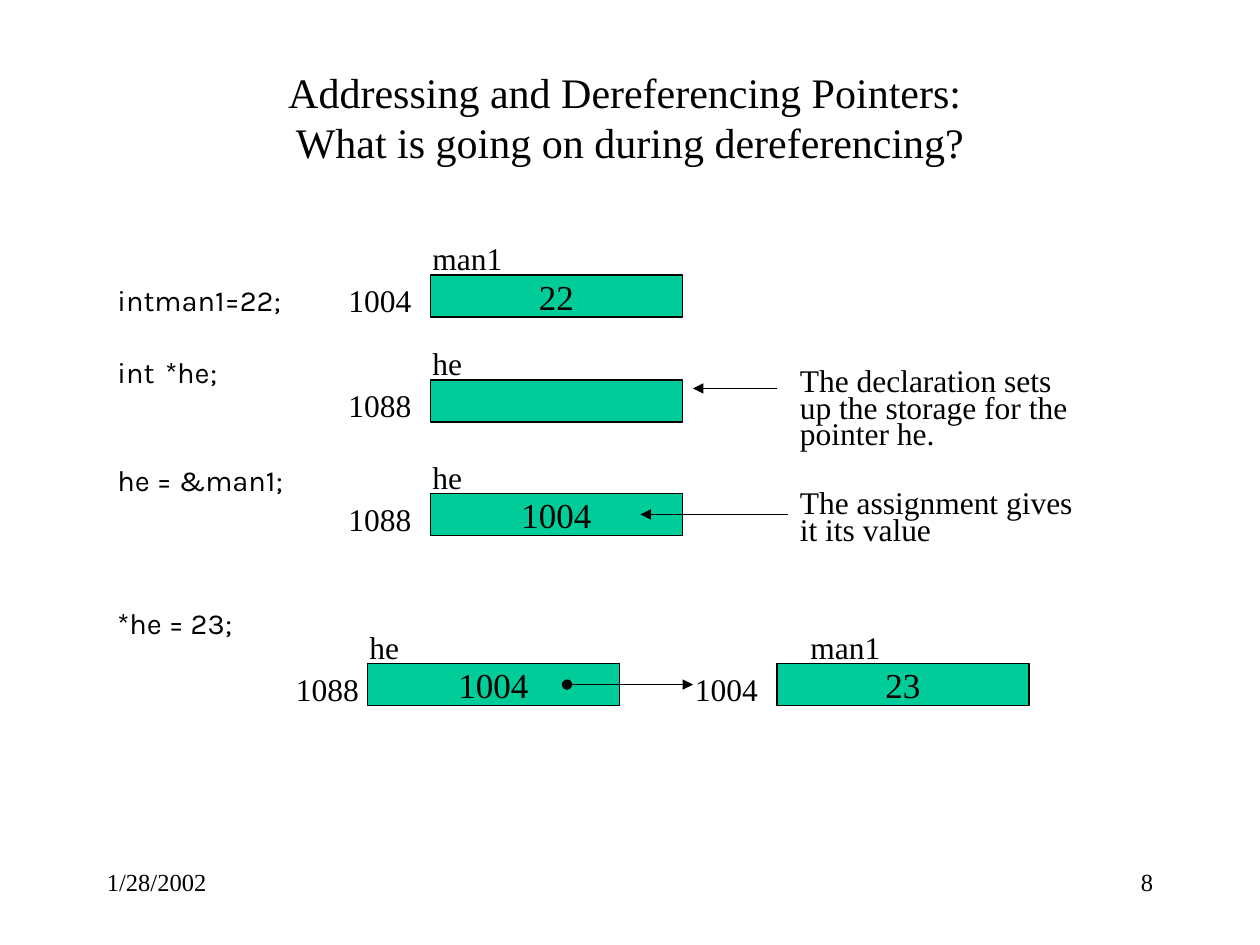
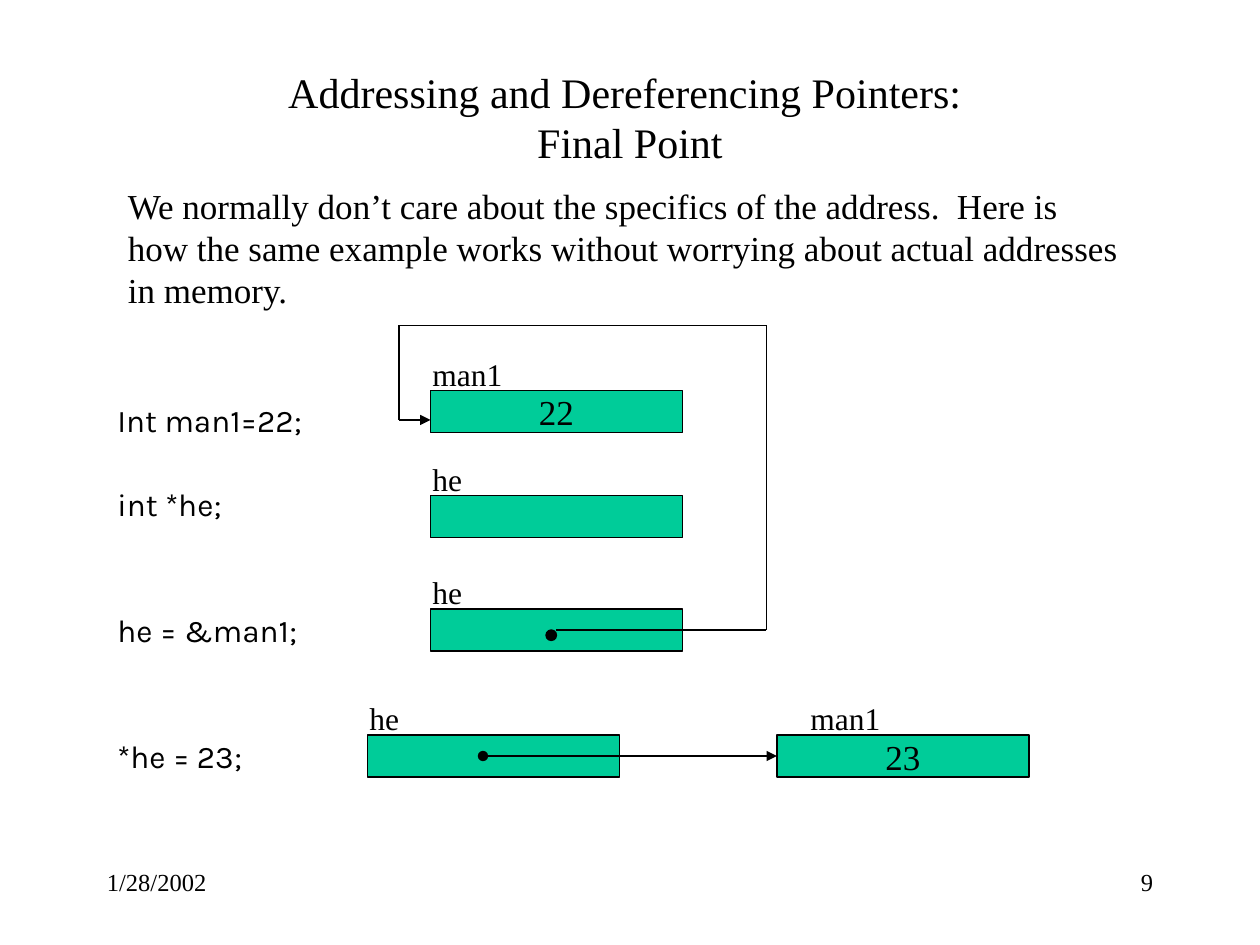
from dataclasses import dataclass
from itertools import pairwise

from lxml.etree import SubElement
from pptx import Presentation
from pptx.dml.color import RGBColor
from pptx.enum.shapes import MSO_CONNECTOR, MSO_SHAPE
from pptx.enum.text import MSO_ANCHOR, PP_ALIGN
from pptx.oxml.ns import qn
from pptx.shapes.autoshape import Shape
from pptx.shapes.connector import Connector
from pptx.slide import Slide
from pptx.util import Emu, Inches, Pt


@dataclass(frozen=True)
class Theme:
    ink: RGBColor = RGBColor(0x00, 0x00, 0x00)
    cell: RGBColor = RGBColor(0x00, 0xCC, 0x99)
    serif: str = "Times New Roman"
    code: str = "Karla"
    title: float = 24
    body: float = 20
    label: float = 18
    footer: float = 14
    line: float = 0.75


THEME = Theme()

# The slide is a grid of 120 columns and 90 rows
WIDTH, HEIGHT = Inches(10), Inches(7.5)
COLUMNS, ROWS = 120, 90
CELL_W, CELL_H = 24, 4
Point = tuple[float, float]


def x(columns: float) -> Emu:
    return Emu(round(WIDTH * columns / COLUMNS))


def y(rows: float) -> Emu:
    return Emu(round(HEIGHT * rows / ROWS))


@dataclass(frozen=True)
class MemoryCell:
    col: float
    row: float
    name: str
    value: str = ""
    address: str = ""
    name_offset: float = -1
    address_offset: float = -9


@dataclass(frozen=True)
class Arrow:
    points: tuple[Point, ...]
    starts_with_dot: bool = False
    target: int | None = None  # index of the cell whose left side it meets


@dataclass(frozen=True)
class CodeListing:
    row: float
    size: float
    line_spacing: float
    gaps: tuple[float, ...]
    lines: tuple[str, ...]


@dataclass(frozen=True)
class Lesson:
    number: int
    subtitle: str
    code: CodeListing
    cells: tuple[MemoryCell, ...]
    arrows: tuple[Arrow, ...]
    intro: str = ""
    notes: tuple[str, ...] = ()
    dot: Point | None = None


def write(shape: Shape, *paragraphs: str, size: float, font: str = THEME.serif,
          align: PP_ALIGN = PP_ALIGN.LEFT, anchor: MSO_ANCHOR = MSO_ANCHOR.TOP,
          wrap: bool = True, line_spacing: float | None = None,
          gaps: tuple[float, ...] = (), hanging: float = 0) -> None:
    """Fill a shape with paragraphs; gaps are the points between them."""
    frame = shape.text_frame
    frame.word_wrap = wrap
    frame.vertical_anchor = anchor
    for index, text in enumerate(paragraphs):
        paragraph = frame.add_paragraph() if index else frame.paragraphs[0]
        paragraph.text = text
        paragraph.alignment = align
        if line_spacing:
            paragraph.line_spacing = line_spacing
        if index and gaps:
            paragraph.space_before = Pt(gaps[index - 1])
        if hanging:
            properties = paragraph._p.get_or_add_pPr()
            properties.set("marL", str(Inches(hanging)))
            properties.set("indent", str(-Inches(hanging)))
        for run in paragraph.runs:
            run.font.name = font
            run.font.size = Pt(size)
            run.font.color.rgb = THEME.ink


def text_box(slide: Slide, col: float, row: float, width: float,
             height: float) -> Shape:
    return slide.shapes.add_textbox(x(col), y(row), x(width), y(height))


def solid(slide: Slide, kind: MSO_SHAPE, col: float, row: float, width: float,
          height: float, fill: RGBColor) -> Shape:
    shape = slide.shapes.add_shape(kind, x(col), y(row), x(width), y(height))
    shape.shadow.inherit = False
    shape.fill.solid()
    shape.fill.fore_color.rgb = fill
    shape.line.color.rgb = THEME.ink
    shape.line.width = Pt(THEME.line)
    return shape


def draw_cell(slide: Slide, cell: MemoryCell) -> Shape:
    box = solid(slide, MSO_SHAPE.RECTANGLE, cell.col, cell.row,
                CELL_W, CELL_H, THEME.cell)
    if cell.value:
        write(box, cell.value, size=THEME.body, align=PP_ALIGN.CENTER,
              anchor=MSO_ANCHOR.MIDDLE, wrap=False)
    if cell.address:
        address = text_box(slide, cell.col + cell.address_offset, cell.row, 8.4, 4.8)
        write(address, cell.address, size=THEME.label, wrap=False)
    name = text_box(slide, cell.col + cell.name_offset, cell.row - 4, 17, 4.8)
    write(name, cell.name, size=THEME.label)
    return box


def draw_segment(slide: Slide, start: Point, end: Point) -> Connector:
    segment = slide.shapes.add_connector(
        MSO_CONNECTOR.STRAIGHT, x(start[0]), y(start[1]), x(end[0]), y(end[1]))
    segment.line.color.rgb = THEME.ink
    segment.line.width = Pt(THEME.line)
    SubElement(segment._element.spPr, qn("a:effectLst"))
    return segment


def draw_arrow(slide: Slide, arrow: Arrow, boxes: list[Shape]) -> None:
    segments = [draw_segment(slide, *ends) for ends in pairwise(arrow.points)]
    if arrow.starts_with_dot:
        SubElement(segments[0].line._get_or_add_ln(), qn("a:headEnd"), type="oval")
    SubElement(segments[-1].line._get_or_add_ln(), qn("a:tailEnd"), type="triangle")
    if arrow.target is not None:
        segments[-1].end_connect(boxes[arrow.target], 1)


def draw_frame(slide: Slide, lesson: Lesson) -> None:
    """Title and footer, the same on every slide."""
    write(text_box(slide, 9, 8, 102, 6.2),
          f"Addressing and Dereferencing Pointers: \v{lesson.subtitle}",
          size=THEME.title, align=PP_ALIGN.CENTER, anchor=MSO_ANCHOR.MIDDLE)
    write(text_box(slide, 9, 82, 25, 6), "1/28/2002", size=THEME.footer)
    write(text_box(slide, 86, 82, 25, 6), str(lesson.number),
          size=THEME.footer, align=PP_ALIGN.RIGHT)


def draw_lesson(slide: Slide, lesson: Lesson) -> None:
    draw_frame(slide, lesson)
    if lesson.intro:
        write(text_box(slide, 11, 17, 97, 13.2), lesson.intro, size=THEME.body)
    if lesson.notes:
        write(text_box(slide, 75, 34.8, 28.7, 17.9), *lesson.notes,
              size=THEME.label, line_spacing=0.7, gaps=(24.5,))
    # Code on the left
    code = lesson.code
    write(text_box(slide, 10, code.row, 22, 37), *code.lines, size=code.size,
          font=THEME.code, line_spacing=code.line_spacing, gaps=code.gaps,
          hanging=0.38)
    # Memory on the right
    boxes = [draw_cell(slide, cell) for cell in lesson.cells]
    for arrow in lesson.arrows:
        draw_arrow(slide, arrow, boxes)
    if lesson.dot:
        solid(slide, MSO_SHAPE.OVAL, *lesson.dot, 1, 1, THEME.ink)


LESSONS = (
    Lesson(
        number=8,
        subtitle="What is going on during dereferencing?",
        code=CodeListing(27, 16.6, 0.8, (25, 45.5, 66),
                         ("intman1=22;", "int\t*he;", "he = &man1;", "*he = 23;")),
        notes=("The declaration sets up the storage for the pointer he.",
               "The assignment gives it its value"),
        cells=(
            MemoryCell(41, 26.2, "man1", "22", "1004"),
            MemoryCell(41, 36.2, "he", address="1088"),
            MemoryCell(41, 47, "he", "1004", "1088"),
            MemoryCell(35, 63.2, "he", "1004", "1088", address_offset=-8),
            MemoryCell(74, 63.2, "man1", "23", "1004", name_offset=2),
        ),
        arrows=(
            Arrow(((74, 37), (66, 37))),
            Arrow(((75, 49), (61, 49))),
            Arrow(((54, 65.2), (66, 65.2)), starts_with_dot=True),
        ),
    ),
    Lesson(
        number=9,
        subtitle="Final Point",
        intro="We normally don’t care about the specifics of the address.  Here is "
              "how the same example works without worrying about actual addresses "
              "in memory.",
        code=CodeListing(38, 18, 0.9, (28.5, 52.5, 52.5),
                         ("Int man1=22;", "int\t*he;", "he = &man1;", "*he = 23;")),
        cells=(
            MemoryCell(41, 37.2, "man1", "22"),
            MemoryCell(41, 47.2, "he"),
            MemoryCell(41, 58, "he"),
            MemoryCell(35, 70, "he"),
            MemoryCell(74, 70, "man1", "23", name_offset=2),
        ),
        arrows=(
            Arrow(((46, 72), (74, 72)), starts_with_dot=True, target=4),
            Arrow(((53, 60), (73, 60), (73, 31), (38, 31), (38, 40), (41, 40))),
        ),
        dot=(52, 60),
    ),
)


def main() -> None:
    deck = Presentation()
    deck.slide_width, deck.slide_height = WIDTH, HEIGHT
    for lesson in LESSONS:
        draw_lesson(deck.slides.add_slide(deck.slide_layouts[6]), lesson)
    deck.save("out.pptx")


if __name__ == "__main__":
    main()
